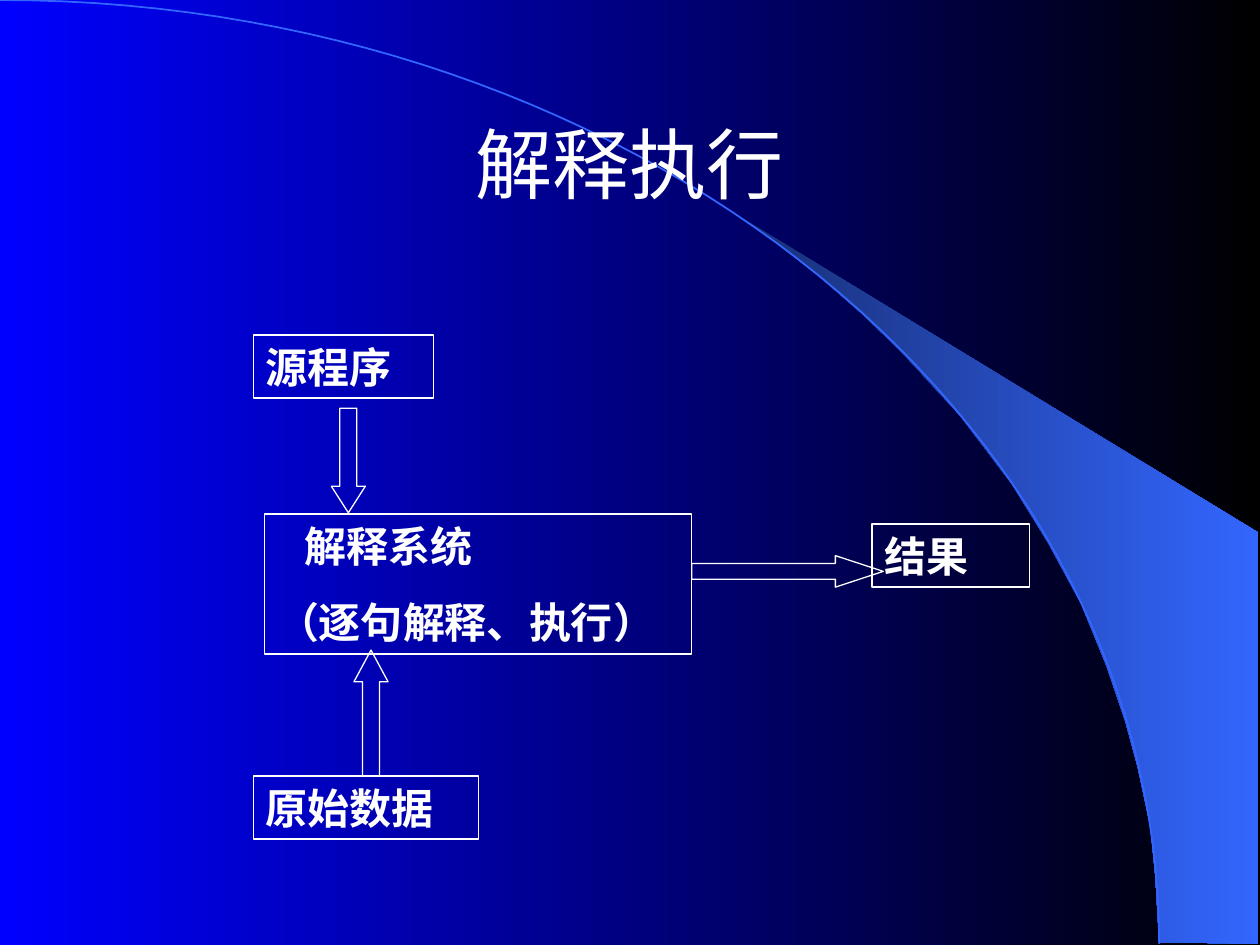
from dataclasses import dataclass

from pptx import Presentation
from pptx.dml.color import RGBColor
from pptx.enum.shapes import MSO_SHAPE
from pptx.enum.text import MSO_ANCHOR, MSO_AUTO_SIZE, PP_ALIGN
from pptx.util import Inches, Pt


@dataclass(frozen=True)
class Theme:
    white: RGBColor = RGBColor(255, 255, 255)
    blue: RGBColor = RGBColor(0, 0, 255)
    black: RGBColor = RGBColor(0, 0, 0)
    sky: RGBColor = RGBColor(0x33, 0x66, 0xFF)
    dusk: RGBColor = RGBColor(0x18, 0x2F, 0x76)
    head: Pt = Pt(44)
    body: Pt = Pt(24)
    gap: Pt = Pt(15)
    thin: Pt = Pt(0.75)
    head_font: str = "Arial"
    body_font: str = "Times New Roman"


THEME = Theme()

# Right edge of the swoosh, then its inner curve
SWOOSH = [
    (9.2, 7.48), (9.99, 7.49), (9.99, 4.23), (5.89, 1.73), (6.24, 1.99),
    (6.53, 2.22), (6.85, 2.5), (7.16, 2.8), (7.62, 3.3), (8.03, 3.84),
    (8.32, 4.31), (8.58, 4.79), (8.78, 5.28), (8.93, 5.72), (9.03, 6.09),
    (9.13, 6.56), (9.17, 6.96),
]


def blend(fill, first, last):
    """Fill from left to right."""
    fill.gradient()
    fill.gradient_angle = 0
    for stop, color in zip(fill.gradient_stops, (first, last)):
        stop.color.rgb = color


def outline(shape, color=THEME.white, width=THEME.thin):
    shape.shadow.inherit = False
    shape.fill.background()
    shape.line.color.rgb = color
    shape.line.width = width


def trace(slide, points, close):
    spots = [(Inches(x), Inches(y)) for x, y in points]
    pen = slide.shapes.build_freeform(*spots[0])
    pen.add_line_segments(spots[1:], close=close)
    return pen.convert_to_shape()


def arc_points(wide, high, steps=60):
    """Points on the curve from the top left corner to (wide, high)."""
    for i in range(steps + 1):
        t = i / steps
        u = 1 - t
        x = 3 * u * u * t * 0.552 * wide + 3 * u * t * t * wide + t**3 * wide
        y = 3 * u * t * t * 0.447 * high + t**3 * high
        yield x, y


def write(para, text, font, size, bold=False):
    run = para.add_run()
    run.text = text
    run.font.name = font
    run.font.size = size
    run.font.bold = bold
    run.font.color.rgb = THEME.white


def add_decor(slide):
    swoosh = trace(slide, SWOOSH, True)
    swoosh.shadow.inherit = False
    blend(swoosh.fill, THEME.dusk, THEME.sky)
    swoosh.line.fill.background()
    arc = trace(slide, list(arc_points(9.2, 7.49)), False)
    outline(arc, THEME.sky, Pt(1))


def add_title(slide, text):
    title = slide.shapes.title
    title.left, title.top = Inches(0.75), Inches(0.67)
    title.width, title.height = Inches(8.5), Inches(1.25)
    frame = title.text_frame
    frame.vertical_anchor = MSO_ANCHOR.MIDDLE
    para = frame.paragraphs[0]
    para.alignment = PP_ALIGN.CENTER
    write(para, text, THEME.head_font, THEME.head)
    # Bring the title in front of the decor
    slide.shapes._spTree.append(title._element)


def add_box(slide, place, lines, indent=0):
    box = slide.shapes.add_shape(MSO_SHAPE.RECTANGLE, *map(Inches, place))
    outline(box)
    frame = box.text_frame
    frame.word_wrap = True
    frame.auto_size = MSO_AUTO_SIZE.SHAPE_TO_FIT_TEXT
    frame.vertical_anchor = MSO_ANCHOR.TOP
    for i, line in enumerate(lines):
        para = frame.add_paragraph() if i else frame.paragraphs[0]
        para.alignment = PP_ALIGN.LEFT
        if i:
            para.space_before = THEME.gap
        elif indent:
            para._p.get_or_add_pPr().set("marL", str(Inches(indent)))
        write(para, line, THEME.body_font, THEME.body, bold=True)


def add_arrow(slide, kind, place, head):
    arrow = slide.shapes.add_shape(kind, *map(Inches, place))
    arrow.adjustments[0] = 0.5
    arrow.adjustments[1] = head
    outline(arrow)


def main():
    deck = Presentation()
    deck.slide_width, deck.slide_height = Inches(10), Inches(7.5)
    slide = deck.slides.add_slide(deck.slide_layouts[5])

    # Backdrop and title
    blend(slide.background.fill, THEME.blue, THEME.black)
    add_decor(slide)
    add_title(slide, "解释执行")

    # Inputs, interpreter and result
    add_box(slide, (2.01, 2.66, 1.43, 0.5), ["源程序"])
    add_box(slide, (2.1, 4.08, 3.39, 1.11),
            ["解释系统", "（逐句解释、执行）"], indent=0.22)
    add_box(slide, (2.01, 6.16, 1.79, 0.5), ["原始数据"])
    add_box(slide, (6.92, 4.16, 1.25, 0.5), ["结果"])

    # Flow between the boxes
    add_arrow(slide, MSO_SHAPE.DOWN_ARROW, (2.63, 3.24, 0.27, 0.83), 0.78)
    add_arrow(slide, MSO_SHAPE.UP_ARROW, (2.81, 5.16, 0.27, 1), 0.93)
    add_arrow(slide, MSO_SHAPE.RIGHT_ARROW, (5.49, 4.41, 1.52, 0.25), 1.52)

    deck.save("out.pptx")


if __name__ == "__main__":
    main()
